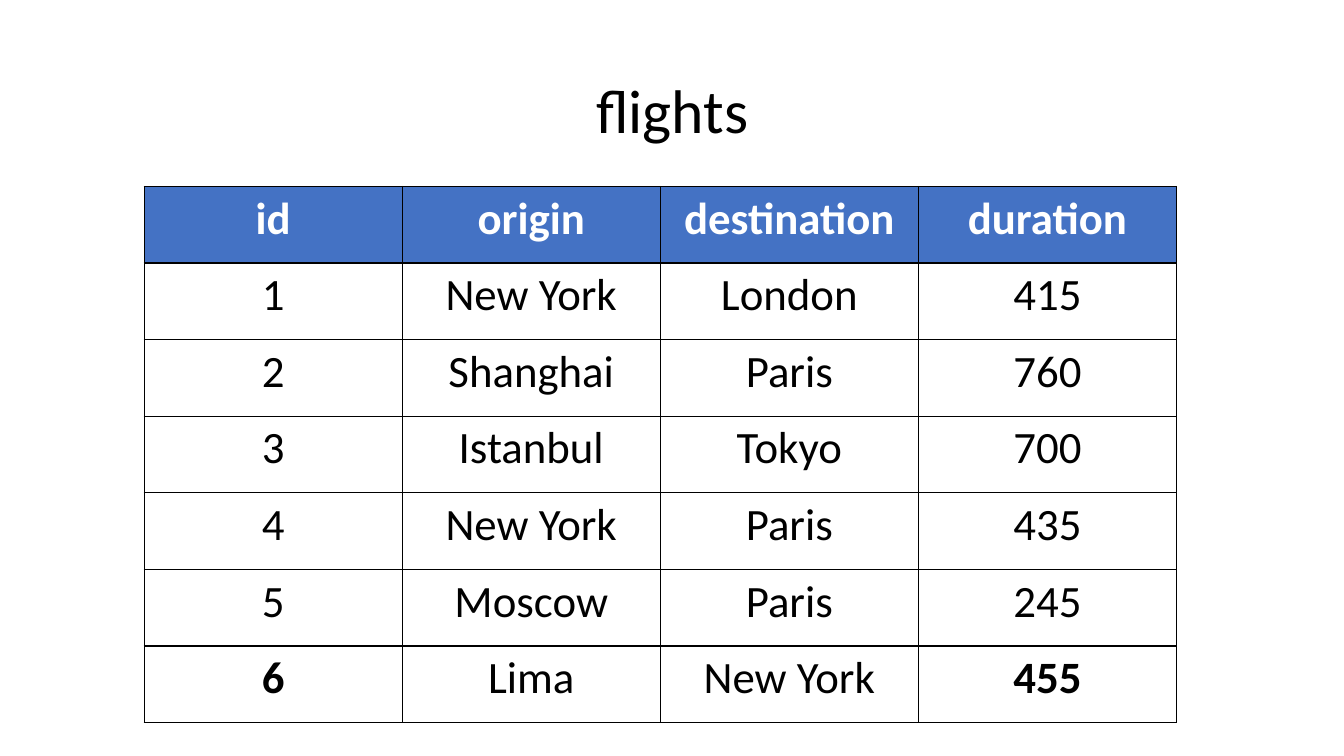
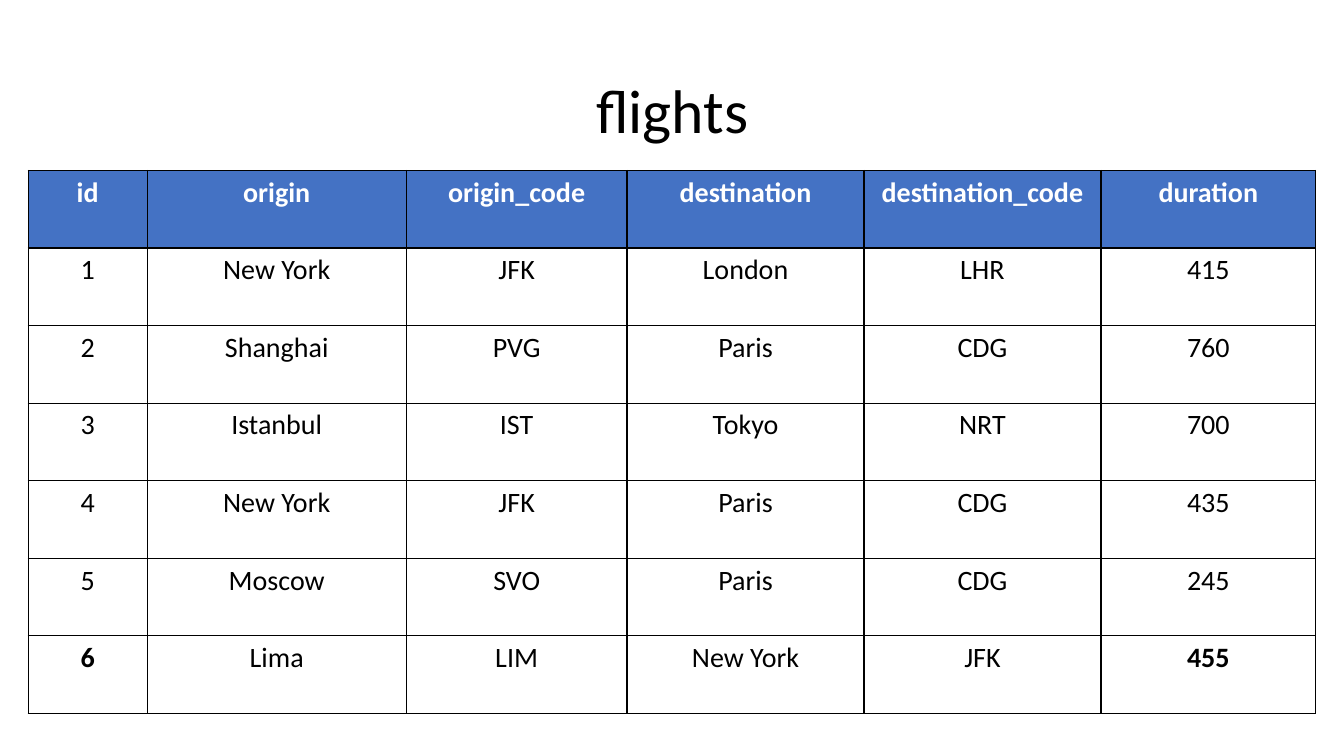
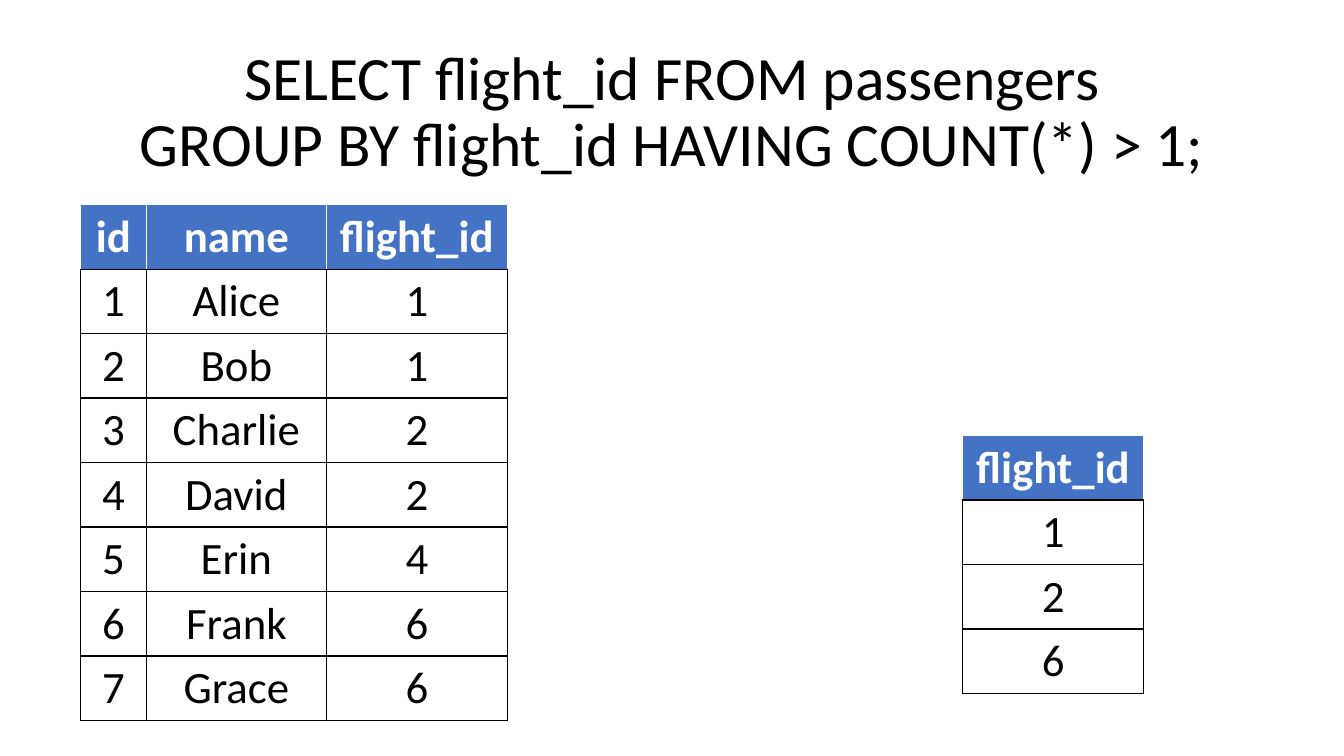
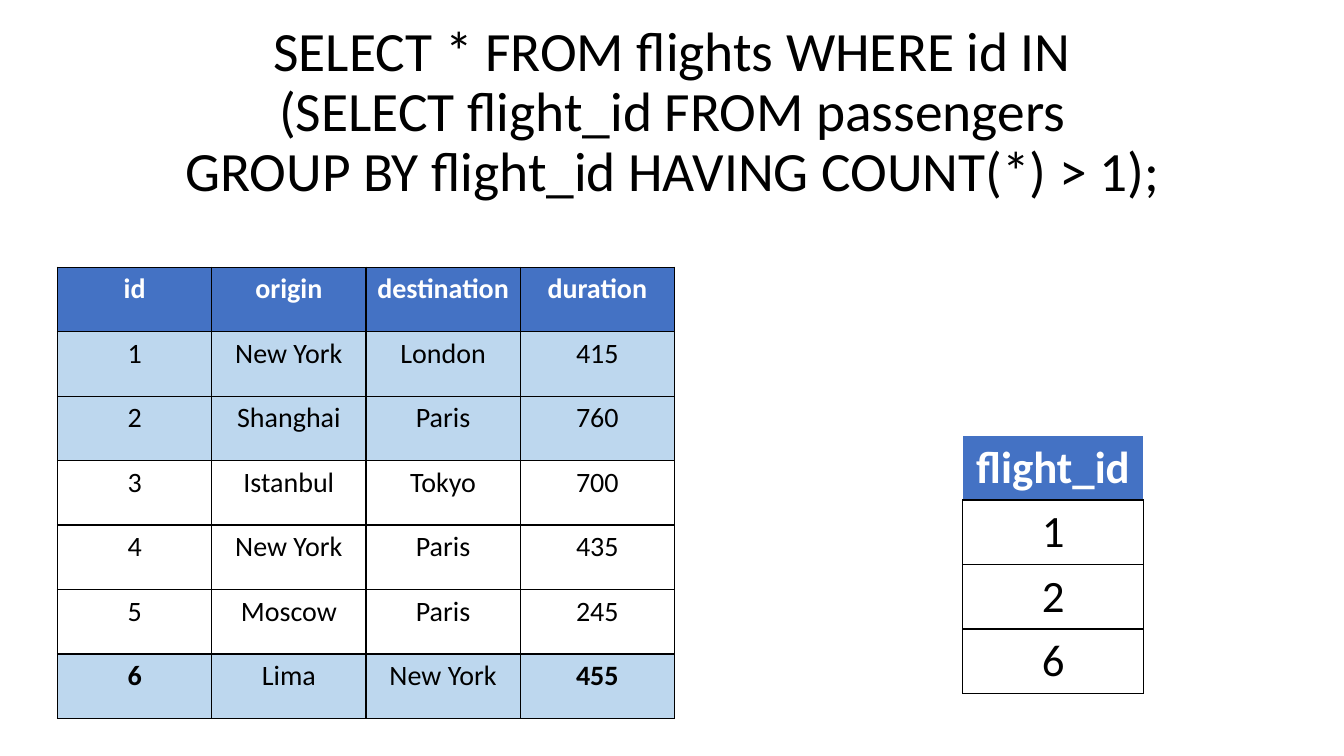
import pptx
import pptx.dml.color
import pptx.enum.text
import pptx.oxml.ns
import pptx.util
from lxml import etree

Inches = pptx.util.Inches
Pt = pptx.util.Pt
RGBColor = pptx.dml.color.RGBColor
CENTER = pptx.enum.text.PP_ALIGN.CENTER
qn = pptx.oxml.ns.qn

BLACK = RGBColor(0x00, 0x00, 0x00)
WHITE = RGBColor(0xFF, 0xFF, 0xFF)
HEADER_BLUE = RGBColor(0x44, 0x72, 0xC4)
MATCH_BLUE = RGBColor(0xBD, 0xD7, 0xEE)
FONT = "Calibri"

FLIGHTS_WITH_CODES = [
    ("id", "origin", "origin_code", "destination", "destination_code", "duration"),
    ("1", "New York", "JFK", "London", "LHR", "415"),
    ("2", "Shanghai", "PVG", "Paris", "CDG", "760"),
    ("3", "Istanbul", "IST", "Tokyo", "NRT", "700"),
    ("4", "New York", "JFK", "Paris", "CDG", "435"),
    ("5", "Moscow", "SVO", "Paris", "CDG", "245"),
    ("6", "Lima", "LIM", "New York", "JFK", "455"),
]
FLIGHTS = [(row[0], row[1], row[3], row[5]) for row in FLIGHTS_WITH_CODES]
PASSENGERS = [
    ("id", "name", "flight_id"),
    ("1", "Alice", "1"),
    ("2", "Bob", "1"),
    ("3", "Charlie", "2"),
    ("4", "David", "2"),
    ("5", "Erin", "4"),
    ("6", "Frank", "6"),
    ("7", "Grace", "6"),
]
BUSY_FLIGHTS = [("flight_id",), ("1",), ("2",), ("6",)]
BUSY_IDS = [row[0] for row in BUSY_FLIGHTS[1:]]

FLIGHT_GROUPS = "SELECT flight_id FROM passengers\nGROUP BY flight_id HAVING COUNT(*) > 1"

# Each table: rows, left, top, column widths, row height, text size,
# header edge colour, bold ends of the last row, ids of highlighted rows
BUSY_TABLE = (BUSY_FLIGHTS, 9.55, 4.32, [1.79], 0.64, 32, WHITE, False, [])
SLIDES = [
    ("flights", 44, [
        (FLIGHTS, 1.43, 1.85, [2.56] * 4, 0.76, 32, BLACK, True, []),
    ]),
    ("flights", 44, [
        (FLIGHTS_WITH_CODES, 0.28, 1.69, [1.18, 2.57, 2.19, 2.35, 2.35, 2.13],
         0.77, 20, BLACK, True, []),
    ]),
    (FLIGHT_GROUPS + ";", 44, [
        (PASSENGERS, 0.8, 2.03, [0.65, 1.79, 1.79], 0.64, 32, WHITE, False, []),
        BUSY_TABLE,
    ]),
    ("SELECT * FROM flights WHERE id IN\n(" + FLIGHT_GROUPS + ");", 39.6, [
        BUSY_TABLE,
        (FLIGHTS, 0.57, 2.65, [1.53] * 4, 0.64, 20, BLACK, True, BUSY_IDS),
    ]),
]


def style_text(p, size, color, bold=False):
    p.alignment = CENTER
    p.font.name = FONT
    p.font.size = Pt(size)
    p.font.color.rgb = color
    p.font.bold = bold


def set_borders(cell, edge_color, bottom_color):
    tc_pr = cell._tc.get_or_add_tcPr()
    for side in ("lnL", "lnR", "lnT", "lnB"):
        ln = etree.SubElement(tc_pr, qn("a:" + side), w=str(Pt(1)))
        fill = etree.SubElement(ln, qn("a:solidFill"))
        color = bottom_color if side == "lnB" else edge_color
        etree.SubElement(fill, qn("a:srgbClr"), val=str(color))


prs = pptx.Presentation()
prs.slide_width = Inches(13.33)
prs.slide_height = Inches(7.5)

for title, title_size, tables in SLIDES:
    s = prs.slides.add_slide(prs.slide_layouts[6])

    tf = s.shapes.add_textbox(Inches(0.92), Inches(0.4), Inches(11.5), Inches(1.45)).text_frame
    tf.word_wrap = True
    tf.vertical_anchor = pptx.enum.text.MSO_ANCHOR.MIDDLE
    p = tf.paragraphs[0]
    p.text = title
    p.line_spacing = 0.9
    style_text(p, title_size, BLACK)

    for rows, left, top, widths, row_height, size, header_edge, bold_ends, matches in tables:
        table = s.shapes.add_table(
            len(rows), len(widths), Inches(left), Inches(top),
            Inches(sum(widths)), Inches(row_height * len(rows))).table
        table.horz_banding = False
        for column, width in zip(table.columns, widths):
            column.width = Inches(width)
        for r, row in enumerate(rows):
            is_header = r == 0
            is_last = r == len(rows) - 1
            for c, text in enumerate(row):
                cell = table.cell(r, c)
                set_borders(cell, header_edge if is_header else BLACK, BLACK)
                cell.fill.solid()
                if is_header:
                    cell.fill.fore_color.rgb = HEADER_BLUE
                else:
                    cell.fill.fore_color.rgb = MATCH_BLUE if row[0] in matches else WHITE
                is_end = c in (0, len(row) - 1)
                p = cell.text_frame.paragraphs[0]
                p.text = text
                style_text(p, size, WHITE if is_header else BLACK,
                           is_header or (bold_ends and is_last and is_end))

prs.save("out.pptx")
